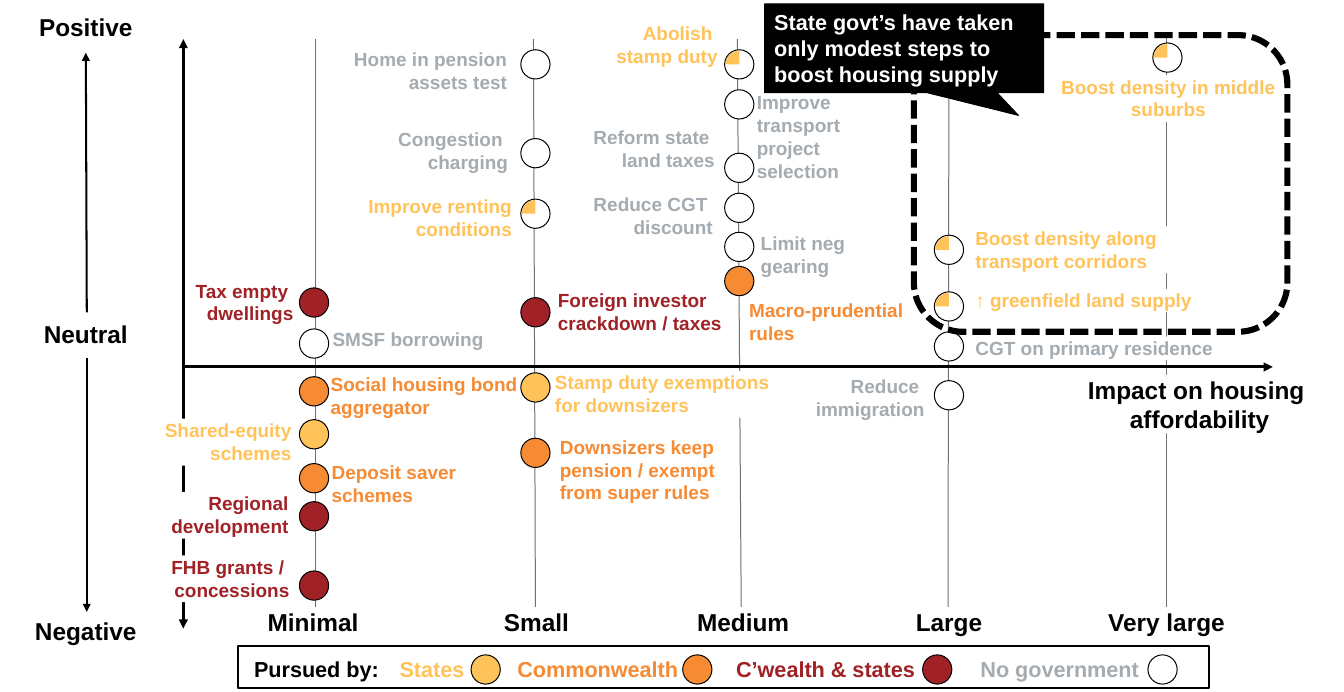
import math
from dataclasses import dataclass
from lxml import etree
from pptx import Presentation
from pptx.dml.color import RGBColor
from pptx.enum import dml, shapes, text
from pptx.oxml import ns
from pptx.util import Inches, Pt


@dataclass(frozen=True)
class Theme:
    font: str = "Arial"
    black: str = "000000"
    white: str = "FFFFFF"
    grid: str = "6A737B"
    states: str = "FFC35A"
    commonwealth: str = "F68B33"
    both: str = "A02226"
    nobody: str = "A4ABB1"
    policy: int = 14
    legend: int = 16
    axis: int = 18
    thin: float = 0.75
    medium: float = 1.5
    axis_line: float = 2.25
    dashed: float = 4.5


theme = Theme()
LEFT, CENTER, RIGHT = text.PP_ALIGN.LEFT, text.PP_ALIGN.CENTER, text.PP_ALIGN.RIGHT
DOT = 0.3
LINE_HEIGHT = {theme.policy: 0.24, theme.legend: 0.27, theme.axis: 0.3}

COLUMNS = {
    "Minimal": (1.94, (3.23, 6.31, 3.23, 0.4), 3.07, [
        (2.95, "both"), (3.37, "nobody"), (3.86, "commonwealth"), (4.3, "states"),
        (4.75, "commonwealth"), (5.14, "both"), (5.85, "both")]),
    "Small": (4.23, (5.49, 6.27, 5.47, 0.4), 5.34, [
        (0.51, "nobody"), (1.42, "nobody"), (2.04, "partial"), (3.05, "both"),
        (3.82, "states"), (4.49, "commonwealth")]),
    "Medium": (6.35, (7.6, 6.27, 7.56, 0.4), 7.43, [
        (0.51, "partial"), (0.92, "nobody"), (1.57, "nobody"), (1.98, "nobody"),
        (2.38, "nobody"), (2.73, "commonwealth")]),
    "Large": (8.46, (9.72, 6.27, 9.73, 0.4), 9.58, [
        (2.41, "partial"), (2.99, "partial"), (3.4, "nobody"), (3.9, "nobody")]),
    "Very large": (10.69, (11.96, 6.22, 11.96, 0.34), 11.82, [(0.44, "partial")]),
}

MASKING_LABELS = [
    ("Abolish \nstamp duty", 5.82, 0.22, 1.54, 2, RIGHT, "states"),
    ("Reduce CGT \ndiscount", 5.75, 1.97, 1.56, 2, RIGHT, "nobody"),
    ("Home in pension assets test", 3.42, 0.49, 1.78, 2, RIGHT, "nobody"),
    ("CGT on primary residence", 10, 3.45, 2.65, 1, LEFT, "nobody"),
    ("Boost density in middle suburbs", 10.75, 0.77, 2.46, 2, CENTER, "states"),
    ("FHB grants / \nconcessions", 1.61, 5.69, 1.36, 2, RIGHT, "both"),
    ("Stamp duty exemptions for downsizers", 5.69, 3.8, 2.22, 2, LEFT, "states"),
    ("Tax empty \ndwellings", 1.97, 2.86, 1.04, 2, RIGHT, "both"),
    ("Regional\ndevelopment", 1.2, 5.04, 1.76, 2, RIGHT, "both"),
    ("Shared-equity\nschemes", 1.1, 4.29, 1.89, 2, RIGHT, "states"),
    ("Foreign investor\ncrackdown / taxes", 5.72, 2.96, 1.78, 2, LEFT, "both"),
    ("Congestion \ncharging", 3.56, 1.31, 1.65, 2, RIGHT, "nobody"),
    ("Downsizers keep pension / exempt from super rules", 5.74, 4.46, 1.77, 3, LEFT, "commonwealth"),
    ("↑ greenfield land supply", 10, 2.96, 3.06, 1, LEFT, "states"),
    ("Boost density along transport corridors", 10, 2.32, 2.66, 2, LEFT, "states"),
    ("Deposit saver schemes", 3.4, 4.72, 1.81, 2, LEFT, "commonwealth"),
]
CLEAR_LABELS = [
    ("Improve renting\nconditions", 3.09, 1.99, 2.16, 2, RIGHT, "states"),
    ("Improve transport \nproject \nselection", 7.76, 0.93, 1.6, 4, LEFT, "nobody"),
    ("Reform state \nland taxes", 5.56, 1.29, 1.77, 2, RIGHT, "nobody"),
    ("Reduce \nimmigration", 7.84, 3.84, 1.64, 2, RIGHT, "nobody"),
    ("Social housing bond aggregator", 3.39, 3.82, 2.15, 2, LEFT, "commonwealth"),
    ("Limit neg \ngearing", 7.8, 2.37, 1.34, 2, LEFT, "nobody"),
    ("SMSF borrowing", 3.41, 3.36, 2.38, 1, LEFT, "nobody"),
    ("Macro-prudential\nrules", 7.68, 3.06, 1.65, 2, LEFT, "commonwealth"),
]
AXIS_TITLE = ("Impact on housing \naffordability", 10.83, 3.84, 2.94, 2)
SCALE = [("Positive", 0.12), ("Neutral", 3.27), ("Negative", 6.31)]
SCALE_ARROWS = [(0.89, 3.67, 0.89, 6.27), (0.89, 3.2, 0.88, 0.54)]
LEGEND = [
    ("Pursued by:", 2.24, 2.01, "black", None),
    ("States", 3.78, 1.3, "states", 4.83),
    ("Commonwealth", 4.88, 2.5, "commonwealth", 7),
    ("C’wealth & states", 6.84, 3.25, "both", 9.46),
    ("No government", 9.77, 2.19, "nobody", 11.77),
]
CALLOUT = "State govt’s have taken only modest steps to boost housing supply"

presentation = Presentation()
presentation.slide_width, presentation.slide_height = Inches(13.78), Inches(7.09)
slide = presentation.slides.add_slide(presentation.slide_layouts[6])


def apply(target, values):
    for name, value in values.items():
        setattr(target, name, value)


def paint(shape, fill=None, line=None, weight=theme.thin):
    shape.shadow.inherit = False
    for part, color in ((shape.fill, fill), (shape.line.fill, line)):
        if color:
            part.solid()
            part.fore_color.rgb = RGBColor.from_string(color)
        else:
            part.background()
    if line:
        shape.line.width = Pt(weight)
    return shape


def add_shape(kind, left, top, width, height, **style):
    box = [Inches(value) for value in (left, top, width, height)]
    return paint(slide.shapes.add_shape(kind, *box), **style)


def add_line(ends, color, weight, **arrows):
    connector = slide.shapes.add_connector(
        shapes.MSO_CONNECTOR.STRAIGHT, *[Inches(value) for value in ends])
    connector.line.color.rgb = RGBColor.from_string(color)
    connector.line.width = Pt(weight)
    properties = connector._element.spPr
    for end, kind in arrows.items():
        etree.SubElement(properties.find(ns.qn("a:ln")), ns.qn(f"a:{end}"), type=kind)
    etree.SubElement(properties, ns.qn("a:effectLst"))


def write(shape, content, size, color, align, inset=(0, 0), anchor=text.MSO_ANCHOR.TOP):
    frame = shape.text_frame
    across, down = (Inches(value) for value in inset)
    apply(frame, dict(word_wrap=True, vertical_anchor=anchor, margin_left=across,
                      margin_right=across, margin_top=down, margin_bottom=down))
    frame.text = content
    for paragraph in frame.paragraphs:
        paragraph.alignment = align
        for run in paragraph.runs:
            apply(run.font, dict(name=theme.font, size=Pt(size), bold=True))
            run.font.color.rgb = RGBColor.from_string(color)


def add_label(content, left, top, width, rows, align, color="black",
              size=theme.policy, masks=False):
    height = rows * LINE_HEIGHT[size]
    if masks:
        label = add_shape(shapes.MSO_SHAPE.RECTANGLE, left, top, width, height, fill=theme.white)
    else:
        label = slide.shapes.add_textbox(*[Inches(v) for v in (left, top, width, height)])
    write(label, content, size, getattr(theme, color), align)


def add_dot(left, top, pursuer):
    fill = theme.white if pursuer in ("nobody", "partial") else getattr(theme, pursuer)
    add_shape(shapes.MSO_SHAPE.OVAL, left, top, DOT, DOT, fill=fill, line=theme.black)
    if pursuer == "partial":
        add_quarter(left + DOT / 2, top + DOT / 2, 0.14)


def add_quarter(x, y, radius):
    angles = [math.radians(degrees) for degrees in range(180, 271, 10)]
    arc = [(Inches(x + radius * math.cos(a)), Inches(y + radius * math.sin(a))) for a in angles]
    builder = slide.shapes.build_freeform(Inches(x), Inches(y))
    builder.add_line_segments(arc, close=True)
    paint(builder.convert_to_shape(), fill=theme.states)


for _, grid_line, _, _ in COLUMNS.values():
    add_line(grid_line, theme.grid, theme.thin)
add_line((1.88, 6.44, 1.88, 0.4), theme.black, theme.axis_line,
         headEnd="triangle", tailEnd="triangle")
add_line((1.88, 3.76, 13.05, 3.76), theme.black, theme.axis_line, tailEnd="triangle")
for ends in SCALE_ARROWS:
    add_line(ends, theme.black, theme.medium, tailEnd="triangle")

for label in MASKING_LABELS:
    add_label(*label, masks=True)
for name, (left, _, _, _) in COLUMNS.items():
    add_label(name, left, 6.22, 2.54, 1, CENTER, size=theme.axis, masks=True)
add_label(*AXIS_TITLE, CENTER, size=theme.axis, masks=True)
for label in CLEAR_LABELS:
    add_label(*label)
for name, top in SCALE:
    add_label(name, 0.11, top, 1.54, 1, CENTER, size=theme.axis)

dots = [(left, top, pursuer) for _, _, left, column in COLUMNS.values()
        for top, pursuer in column]
for dot in dots:
    if dot[2] != "partial":
        add_dot(*dot)

add_shape(shapes.MSO_SHAPE.RECTANGLE, 2.44, 6.62, 9.96, 0.43,
          line=theme.black, weight=theme.medium)
for name, left, width, pursuer, dot_left in LEGEND:
    add_label(name, left, 6.72, width, 1, CENTER, pursuer, theme.legend)
    if dot_left:
        add_dot(dot_left, 6.71, pursuer)

supply_frame = add_shape(shapes.MSO_SHAPE.ROUNDED_RECTANGLE, 9.37, 0.36, 3.83, 3.04,
                         line=theme.black, weight=theme.dashed)
supply_frame.line.dash_style = dml.MSO_LINE.SQUARE_DOT
callout = add_shape(shapes.MSO_SHAPE.RECTANGULAR_CALLOUT, 7.84, 0.04, 2.86, 0.91,
                    fill=theme.black, line=theme.black)
callout.adjustments[0], callout.adjustments[1] = 0.41, 0.755
write(callout, CALLOUT, theme.legend, theme.white, LEFT, (0.1, 0.05), text.MSO_ANCHOR.MIDDLE)

for dot in dots:
    if dot[2] == "partial":
        add_dot(*dot)

presentation.save("out.pptx")
